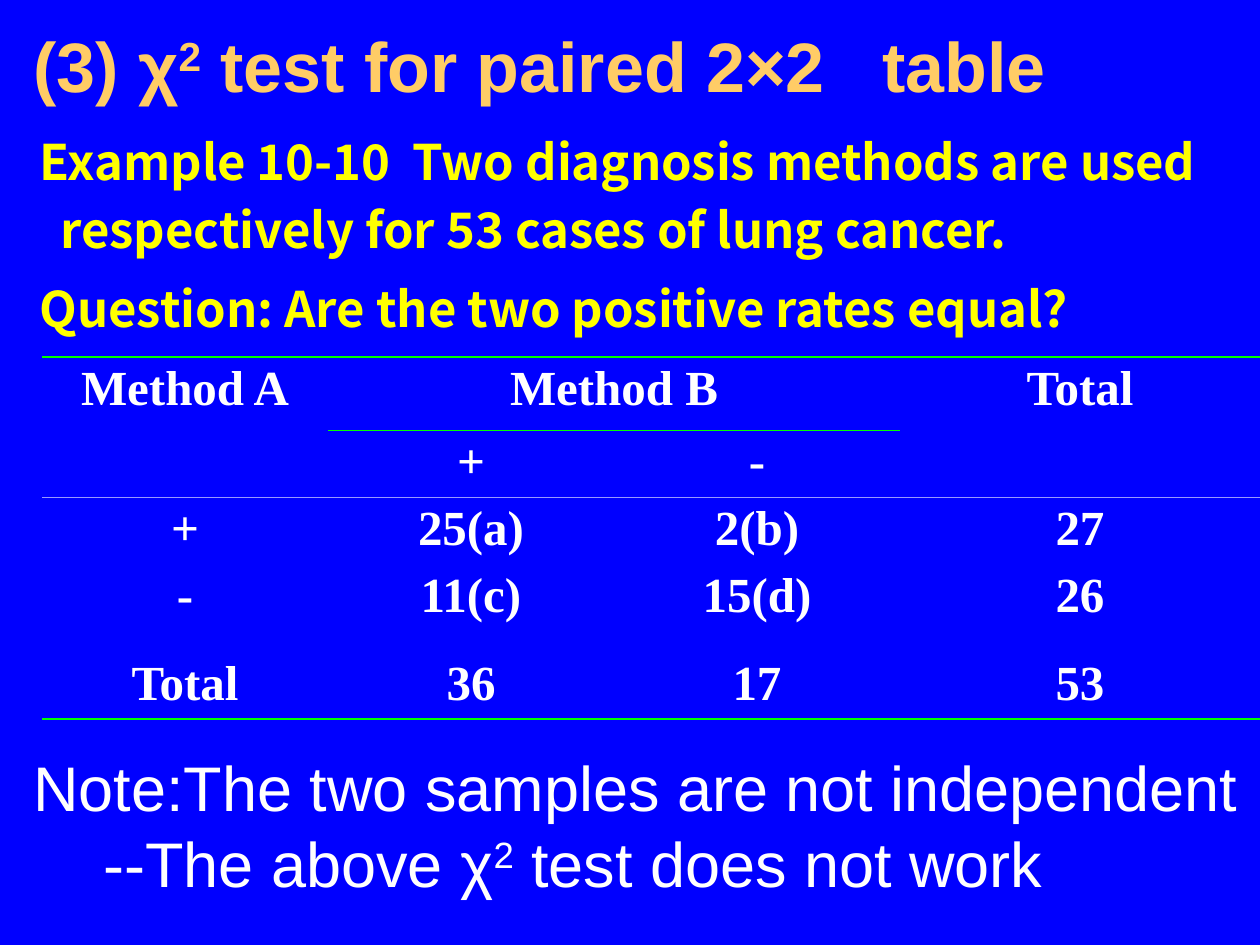
import lxml.etree
import pptx
import pptx.dml.color
import pptx.enum.text
import pptx.oxml.ns
import pptx.util

PX = 914400 // 126
THEME = {
    "background": "0000FF", "title": "FFCC66", "example": "FFFF00", "text": "FFFFFF",
    "rule": "00FF00", "faint_rule": "9999FF",
    "heading_font": "Arial", "example_font": "Noto Sans CJK KR", "table_font": "Times New Roman",
    "title_size": 40, "example_size": 28, "table_size": 28, "note_size": 36,
}
NO_STYLE_NO_GRID = "{2D5ABB26-0587-4C30-8999-92F81FD0307C}"
qn = pptx.oxml.ns.qn
RGB = pptx.dml.color.RGBColor.from_string
ALIGN = pptx.enum.text.PP_ALIGN
ANCHOR = pptx.enum.text.MSO_ANCHOR


def add_runs(para, parts, font, size, color, bold):
    """Add one run per part; a part that is just "2" becomes a superscript."""
    for part in parts:
        span = para.add_run()
        span.text = part
        span.font.name = font
        span.font.size = pptx.util.Pt(size)
        span.font.bold = bold
        span.font.color.rgb = RGB(color)
        properties = span.font._element
        lxml.etree.SubElement(properties, qn("a:ea"), typeface=font)
        if part == "2":
            properties.set("baseline", "30000")


def add_border(cell, side, color, width):
    line = lxml.etree.Element(qn("a:" + side), w=str(pptx.util.Pt(width)))
    fill = lxml.etree.SubElement(line, qn("a:solidFill"))
    lxml.etree.SubElement(fill, qn("a:srgbClr"), val=color)
    cell._tc.get_or_add_tcPr().insert(0, line)


deck = pptx.Presentation()
deck.slide_width, deck.slide_height = 1260 * PX, 945 * PX
page = deck.slides.add_slide(deck.slide_layouts[1])
page.background.fill.solid()
page.background.fill.fore_color.rgb = RGB(THEME["background"])

# Text boxes
title = page.shapes.title
body = page.placeholders[1]
note = page.shapes.add_textbox(0, 0, PX, PX)
for box, left, top, width, height, anchor in [
    (title, 21, 31, 1207, 85, ANCHOR.MIDDLE),
    (body, 0, 116, 1260, 799, ANCHOR.TOP),
    (note, 21, 746, 1239, 157, ANCHOR.MIDDLE),
]:
    box.left, box.top, box.width, box.height = left * PX, top * PX, width * PX, height * PX
    box.text_frame.word_wrap = True
    box.text_frame.auto_size = pptx.enum.text.MSO_AUTO_SIZE.NONE
    box.text_frame.vertical_anchor = anchor

# Title
title.text_frame.margin_bottom = 24 * PX
para = title.text_frame.paragraphs[0]
para.alignment = ALIGN.LEFT
tabs = lxml.etree.SubElement(para._p.get_or_add_pPr(), qn("a:tabLst"))
lxml.etree.SubElement(tabs, qn("a:tab"), pos=str(849 * PX), algn="l")
add_runs(para, ["(3) χ", "2", " test for paired 2×2\ttable"],
         THEME["heading_font"], THEME["title_size"], THEME["title"], True)

# Example and question
sentences = [
    "Example 10-10  Two diagnosis methods are used respectively for 53 cases of lung cancer.",
    "Question: Are the two positive rates equal?",
]
for index, sentence in enumerate(sentences):
    para = body.text_frame.add_paragraph() if index else body.text_frame.paragraphs[0]
    para.line_spacing = pptx.util.Pt(39)
    para.space_before = pptx.util.Pt(6 if index else 0)
    properties = para._p.get_or_add_pPr()
    properties.set("marL", str(48 * PX))
    properties.set("indent", str(-21 * PX))
    lxml.etree.SubElement(properties, qn("a:buNone"))
    add_runs(para, [sentence], THEME["example_font"], THEME["example_size"],
             THEME["example"], True)

# Paired table
rows = [
    ["Method A", "Method B", "", "Total"],
    ["", "+", "-", ""],
    ["+", "25(a)", "2(b)", "27"],
    ["-", "11(c)", "15(d)", "26"],
    ["Total", "36", "17", "53"],
]
column_widths = [286, 286, 286, 360]
row_heights = [73, 67, 67, 88, 67]
frame = page.shapes.add_table(len(rows), len(column_widths), 42 * PX, 357 * PX,
                              sum(column_widths) * PX, sum(row_heights) * PX)
table = frame.table
table.first_row = table.horz_banding = False
table._tbl.tblPr.find(qn("a:tableStyleId")).text = NO_STYLE_NO_GRID
for column, width in zip(table.columns, column_widths):
    column.width = width * PX
for row, height in zip(table.rows, row_heights):
    row.height = height * PX
table.cell(0, 1).merge(table.cell(0, 2))

for row_index, texts in enumerate(rows):
    for column_index, text in enumerate(texts):
        cell = table.cell(row_index, column_index)
        cell.fill.background()
        cell.margin_top = cell.margin_bottom = 5 * PX
        para = cell.text_frame.paragraphs[0]
        para.alignment = ALIGN.CENTER
        if text:
            add_runs(para, [text], THEME["table_font"], THEME["table_size"],
                     THEME["text"], True)
        if row_index == 0 and column_index in (1, 2):
            add_border(cell, "lnB", THEME["rule"], 0.5)
        if row_index == 1:
            add_border(cell, "lnB", THEME["faint_rule"], 0.5)
        if row_index == len(rows) - 1:
            add_border(cell, "lnB", THEME["rule"], 1)
        if row_index == 0:
            add_border(cell, "lnT", THEME["rule"], 1)

# Note
first = note.text_frame.paragraphs[0]
second = note.text_frame.add_paragraph()
second._p.get_or_add_pPr().set("marL", str(70 * PX))
for para, parts in [
    (first, ["Note:The two samples are not independent"]),
    (second, ["--The above χ", "2", " test does not work"]),
]:
    add_runs(para, parts, THEME["heading_font"], THEME["note_size"], THEME["text"], False)

deck.save("out.pptx")
